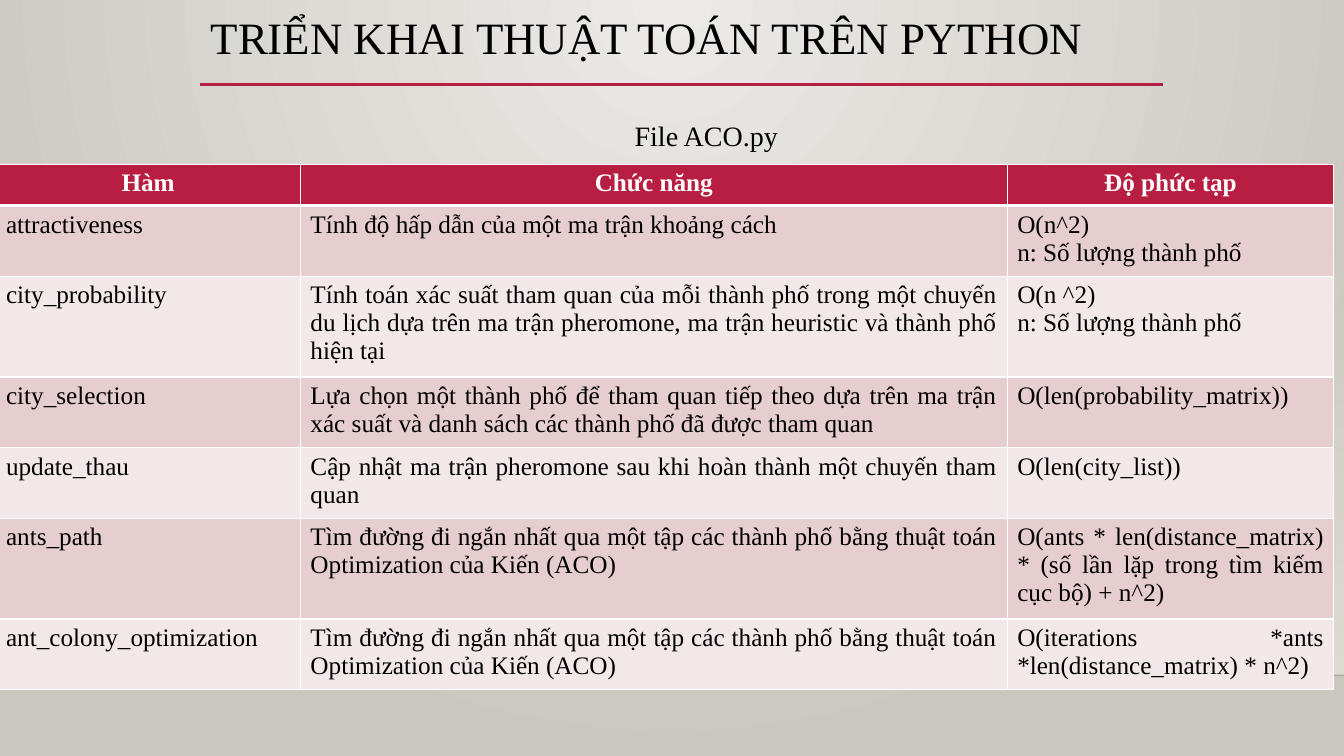
"""Build the slide that lists the functions of ACO.py with their complexity."""
from lxml import etree
from pptx import Presentation
from pptx.dml.color import RGBColor
from pptx.enum import shapes, text
from pptx.oxml import parse_xml
from pptx.oxml.ns import nsdecls, qn
from pptx.util import Inches, Pt

FONT = "Times New Roman"
CRIMSON, BLACK, WHITE, SAND = "B71E42", "000000", "FFFFFF", "DFDBD5"
BANDS = ("E6CDCF", "F3E8E9")

TITLE = "TRIỂN KHAI THUẬT TOÁN TRÊN PYTHON"
SUBTITLE = "File ACO.py"
HEADER = ("Hàm", "Chức năng", "Độ phức tạp")
SHORTEST = ("Tìm đường đi ngắn nhất qua một tập các thành phố bằng thuật toán "
            "Optimization của Kiến (ACO)")
FUNCTIONS = [
    ("attractiveness",
     "Tính độ hấp dẫn của một ma trận khoảng cách",
     "O(n^2)\nn: Số lượng thành phố"),
    ("city_probability",
     "Tính toán xác suất tham quan của mỗi thành phố trong một chuyến du lịch "
     "dựa trên ma trận pheromone, ma trận heuristic và thành phố hiện tại",
     "O(n ^2)\nn: Số lượng thành phố"),
    ("city_selection",
     "Lựa chọn một thành phố để tham quan tiếp theo dựa trên ma trận xác suất "
     "và danh sách các thành phố đã được tham quan",
     "O(len(probability_matrix))"),
    ("update_thau",
     "Cập nhật ma trận pheromone sau khi hoàn thành một chuyến tham quan",
     "O(len(city_list))"),
    ("ants_path", SHORTEST,
     "O(ants * len(distance_matrix) * (số lần lặp trong tìm kiếm cục bộ) + n^2)"),
    ("ant_colony_optimization", SHORTEST,
     "O(iterations *ants *len(distance_matrix) * n^2)"),
]
COL_WIDTHS = (3.02, 7.01, 3.24)
LINE_COUNTS = (1, 2, 3, 2, 2, 3, 2)


def rgb(color):
    """Turn a hex string into a colour."""
    return RGBColor.from_string(color)


def gradient(stops, direction):
    """Return a gradient fill for (position, colour, opacity) stops."""
    marks = "".join(
        f'<a:gs pos="{pos * 1000}"><a:srgbClr val="{color}">'
        f'<a:alpha val="{alpha * 1000}"/></a:srgbClr></a:gs>'
        for pos, color, alpha in stops)
    return parse_xml(f'<a:gradFill {nsdecls("a")} rotWithShape="1">'
                     f'<a:gsLst>{marks}</a:gsLst>{direction}</a:gradFill>')


def swap_gradient(fill, parent, new):
    """Put a custom gradient in place of the default one."""
    fill.gradient()
    old = parent.find(qn("a:gradFill"))
    parent.replace(old, new)


def write(tf, words, size, color, align, bold=False):
    """Set the text of a frame and format its paragraphs and runs."""
    tf.text = words
    for p in tf.paragraphs:
        p.alignment = align
        for r in p.runs:
            r.font.name, r.font.size, r.font.bold = FONT, Pt(size), bold
            r.font.color.rgb = rgb(color)


def add_line(s, x1, x2, y, color, width, alpha=100):
    """Draw a horizontal line."""
    line = s.shapes.add_connector(shapes.MSO_CONNECTOR.STRAIGHT,
                                  Inches(x1), Inches(y), Inches(x2), Inches(y))
    line.line.color.rgb = rgb(color)
    line.line.width = Pt(width)
    props = line._element.spPr
    etree.SubElement(props.find(".//" + qn("a:srgbClr")), qn("a:alpha"),
                     val=str(alpha * 1000))
    etree.SubElement(props, qn("a:effectLst"))


def set_borders(cell, widths):
    """Give a cell white borders, with widths keyed by side."""
    props = cell._tc.get_or_add_tcPr()
    for i, side in enumerate("LRTB"):
        props.insert(i, parse_xml(
            f'<a:ln{side} {nsdecls("a")} w="{Pt(widths[side])}"><a:solidFill>'
            f'<a:srgbClr val="{WHITE}"/></a:solidFill></a:ln{side}>'))


def add_backdrop(s):
    """Paint the background, the wall fade and the floor line."""
    fill = s.background.fill
    glow = ('<a:path path="circle">'
            '<a:fillToRect l="43000" r="43000" b="100000"/></a:path>')
    swap_gradient(fill, s._element.cSld.bg.bgPr,
                  gradient([(0, "ECEAE7", 100), (100, "CAC7C1", 100)], glow))
    wall = s.shapes.add_shape(shapes.MSO_SHAPE.RECTANGLE, 0, Inches(2.21),
                              Inches(13.33), Inches(4.49))
    wall.shadow.inherit = False
    wall.line.fill.background()
    swap_gradient(wall.fill, wall._element.spPr,
                  gradient([(0, SAND, 0), (100, SAND, 100)],
                           '<a:lin ang="5400000" scaled="0"/>'))
    add_line(s, 0, 13.33, 6.7, "000001", 1, 20)


def add_headings(s):
    """Fill the title and the subtitle, with the rule between them."""
    title = s.shapes.title
    title.left, title.top = Inches(1.99), Inches(0.11)
    title.width, title.height = Inches(10.5), Inches(1.15)
    tf = title.text_frame
    tf.vertical_anchor = text.MSO_ANCHOR.TOP
    write(tf, TITLE, 32, BLACK, text.PP_ALIGN.LEFT)
    tf.paragraphs[0].line_spacing = 0.9
    add_line(s, 1.98, 11.53, 0.84, CRIMSON, 2.5)

    box = s.shapes.add_textbox(Inches(0.21), Inches(1.06), Inches(12.59), Inches(5.4))
    tf = box.text_frame
    tf.word_wrap = True
    tf.margin_left = Inches(1.1)
    write(tf, SUBTITLE, 20, BLACK, text.PP_ALIGN.CENTER)
    tf.paragraphs[0].line_spacing = 1.2
    tf.paragraphs[0].space_before = Pt(10)


def add_functions(s):
    """Add the table of functions."""
    rows = [HEADER] + FUNCTIONS
    heights = [0.14 + 0.27 * n for n in LINE_COUNTS]
    table = s.shapes.add_table(len(rows), len(HEADER), Inches(-0.04), Inches(1.63),
                               Inches(sum(COL_WIDTHS)), Inches(sum(heights))).table
    for column, width in zip(table.columns, COL_WIDTHS):
        column.width = Inches(width)
    for i, (row, height) in enumerate(zip(rows, heights)):
        table.rows[i].height = Inches(height)
        head = i == 0
        for j, words in enumerate(row):
            cell = table.cell(i, j)
            write(cell.text_frame, words, 18, WHITE if head else BLACK,
                  text.PP_ALIGN.CENTER if head else text.PP_ALIGN.JUSTIFY, head)
            cell.fill.solid()
            cell.fill.fore_color.rgb = rgb(CRIMSON if head else BANDS[(i - 1) % 2])
            set_borders(cell, {"L": 1, "R": 1, "T": 3 if i == 1 else 1,
                               "B": 3 if head else 1})


prs = Presentation()
prs.slide_width, prs.slide_height = Inches(13.33), Inches(7.5)
s = prs.slides.add_slide(prs.slide_layouts[5])
add_backdrop(s)
add_headings(s)
add_functions(s)
prs.save("out.pptx")
